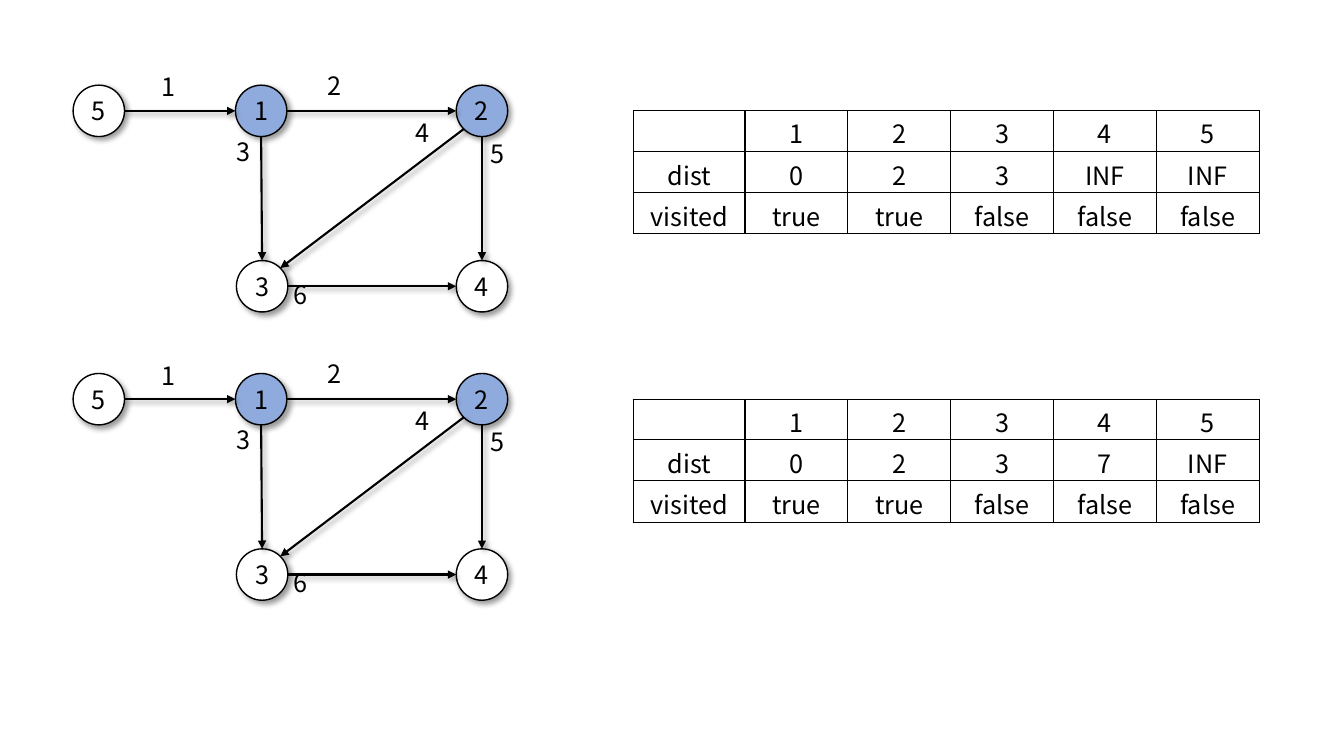
from dataclasses import dataclass
from math import cos, radians, sin

from lxml import etree
from pptx import Presentation, util as u
from pptx.dml.color import RGBColor
from pptx.enum import shapes, text
from pptx.oxml import parse_xml
from pptx.oxml.ns import nsdecls, qn

FONT, SIZE = "Noto Sans CJK KR", 18
BLACK, WHITE, BLUE = "000000", "FFFFFF", "8FAADC"
DIAMETER = 0.51
COLS = (0.98, 2.59, 4.78)
ROWS = (1.1, 2.84)
PANEL_STEP = 2.86
LABEL_W, LABEL_H = 0.36, 0.4
TABLE_LEFT = 6.28
COL_WIDTHS = (1.11,) + (1.02,) * 5
ROW_HEIGHTS = (0.4, 0.41, 0.41)
RIGHT, DOWN, DOWN_LEFT, LEFT, UP, UP_RIGHT = 0, 90, 135, 180, 270, 315


@dataclass(frozen=True)
class Node:
    """A numbered vertex, centred on a column and row of the graph grid."""
    name: str
    x: float
    y: float
    fill: str = WHITE


@dataclass(frozen=True)
class Edge:
    """A weighted arrow between rim points given as clockwise angles."""
    start: str
    leave: int
    end: str
    arrive: int
    weight: str
    label_x: float
    label_y: float


NODES = {n.name: n for n in (
    Node("1", COLS[1], ROWS[0], BLUE),
    Node("3", COLS[1] + 0.01, ROWS[1]),
    Node("2", COLS[2], ROWS[0], BLUE),
    Node("4", COLS[2], ROWS[1]),
    Node("5", COLS[0], ROWS[0]),
)}
EDGES = (
    Edge("1", RIGHT, "2", LEFT, "2", 3.15, 0.7),
    Edge("1", DOWN, "3", UP, "3", 2.25, 1.35),
    Edge("2", DOWN, "4", UP, "5", 4.77, 1.37),
    Edge("3", RIGHT, "4", LEFT, "6", 2.81, 2.77),
    Edge("5", RIGHT, "1", LEFT, "1", 1.5, 0.71),
    Edge("2", DOWN_LEFT, "3", UP_RIGHT, "4", 4.02, 1.16),
)
HEADER = ("", "1", "2", "3", "4", "5")
VISITED = ("visited", "true", "true", "false", "false", "false")
DISTANCES = (
    ("dist", "0", "2", "3", "INF", "INF"),
    ("dist", "0", "2", "3", "7", "INF"),
)


def rgb(value: str) -> RGBColor:
    """Turn a hex string into a colour."""
    return RGBColor.from_string(value)


def write(tf, value: str, align=text.PP_ALIGN.CENTER) -> None:
    """Set one line of text in the slide's font."""
    tf.text = value
    p = tf.paragraphs[0]
    p.alignment = align
    for r in p.runs:
        r.font.name, r.font.size, r.font.bold = FONT, u.Pt(SIZE), False
        r.font.color.rgb = rgb(BLACK)


def style_line(sp, width: float) -> None:
    """Give a shape or connector a black line and a soft shadow."""
    sp.line.color.rgb = rgb(BLACK)
    sp.line.width = u.Pt(width)
    sp._element.spPr.append(parse_xml(
        f'<a:effectLst {nsdecls("a")}><a:outerShdw blurRad="{u.Pt(4)}" '
        f'dist="{u.Pt(3)}" dir="2700000" algn="tl" rotWithShape="0">'
        f'<a:srgbClr val="{BLACK}"><a:alpha val="40000"/></a:srgbClr>'
        '</a:outerShdw></a:effectLst>'))


def draw_node(group, node: Node, dy: float) -> None:
    """Draw a vertex as a circle with its number."""
    sp = group.shapes.add_shape(
        shapes.MSO_SHAPE.OVAL, u.Inches(node.x - DIAMETER / 2),
        u.Inches(node.y + dy - DIAMETER / 2),
        u.Inches(DIAMETER), u.Inches(DIAMETER))
    sp.fill.solid()
    sp.fill.fore_color.rgb = rgb(node.fill)
    style_line(sp, 1)
    tf = sp.text_frame
    tf.margin_left = tf.margin_right = tf.margin_top = tf.margin_bottom = 0
    tf.vertical_anchor = text.MSO_ANCHOR.MIDDLE
    write(tf, node.name)


def rim(name: str, angle: int, dy: float) -> tuple[int, int]:
    """Return the point on a vertex's rim at an angle."""
    node, radius = NODES[name], DIAMETER / 2
    return (u.Inches(node.x + radius * cos(radians(angle))),
            u.Inches(node.y + dy + radius * sin(radians(angle))))


def draw_edge(group, edge: Edge, dy: float) -> None:
    """Draw an arrow and its weight."""
    sp = group.shapes.add_connector(
        shapes.MSO_CONNECTOR.STRAIGHT, *rim(edge.start, edge.leave, dy),
        *rim(edge.end, edge.arrive, dy))
    style_line(sp, 1.5)
    etree.SubElement(sp.line._get_or_add_ln(), qn("a:tailEnd"), type="triangle")

    label = group.shapes.add_textbox(
        u.Inches(edge.label_x), u.Inches(edge.label_y + dy),
        u.Inches(LABEL_W), u.Inches(LABEL_H))
    tf = label.text_frame
    tf.word_wrap = True
    tf.margin_top = tf.margin_bottom = 0
    write(tf, edge.weight, text.PP_ALIGN.LEFT)


def draw_graph(s, dy: float) -> None:
    """Draw the whole graph as one group."""
    group = s.shapes.add_group_shape()
    for node in NODES.values():
        draw_node(group, node, dy)
    for edge in EDGES:
        draw_edge(group, edge, dy)


def style_cell(cell) -> None:
    """Give a cell black borders, a white fill and tight margins."""
    for side in "LRTB":
        cell._tc.get_or_add_tcPr().append(parse_xml(
            f'<a:ln{side} {nsdecls("a")} w="{u.Pt(1)}"><a:solidFill>'
            f'<a:srgbClr val="{BLACK}"/></a:solidFill></a:ln{side}>'))
    cell.fill.solid()
    cell.fill.fore_color.rgb = rgb(WHITE)
    cell.margin_top, cell.margin_bottom = u.Inches(0.03), 0
    cell.vertical_anchor = text.MSO_ANCHOR.BOTTOM


def draw_table(s, rows: tuple[tuple[str, ...], ...], top: float) -> None:
    """Draw the distance and visited table."""
    table = s.shapes.add_table(
        len(rows), len(COL_WIDTHS), u.Inches(TABLE_LEFT), u.Inches(top),
        u.Inches(sum(COL_WIDTHS)), u.Inches(sum(ROW_HEIGHTS))).table
    table.first_row = table.horz_banding = False
    for column, width in zip(table.columns, COL_WIDTHS):
        column.width = u.Inches(width)
    for row, height, values in zip(table.rows, ROW_HEIGHTS, rows):
        row.height = u.Inches(height)
        for cell, value in zip(row.cells, values):
            style_cell(cell)
            write(cell.text_frame, value)


def main() -> None:
    """Build the slide with one graph and table per step."""
    prs = Presentation()
    prs.slide_width, prs.slide_height = u.Inches(13.33), u.Inches(7.5)
    s = prs.slides.add_slide(prs.slide_layouts[6])
    for step, dist in enumerate(DISTANCES):
        dy = step * PANEL_STEP
        draw_graph(s, dy)
        draw_table(s, (HEADER, dist, VISITED), ROWS[0] + dy)
    prs.save("out.pptx")


main()
